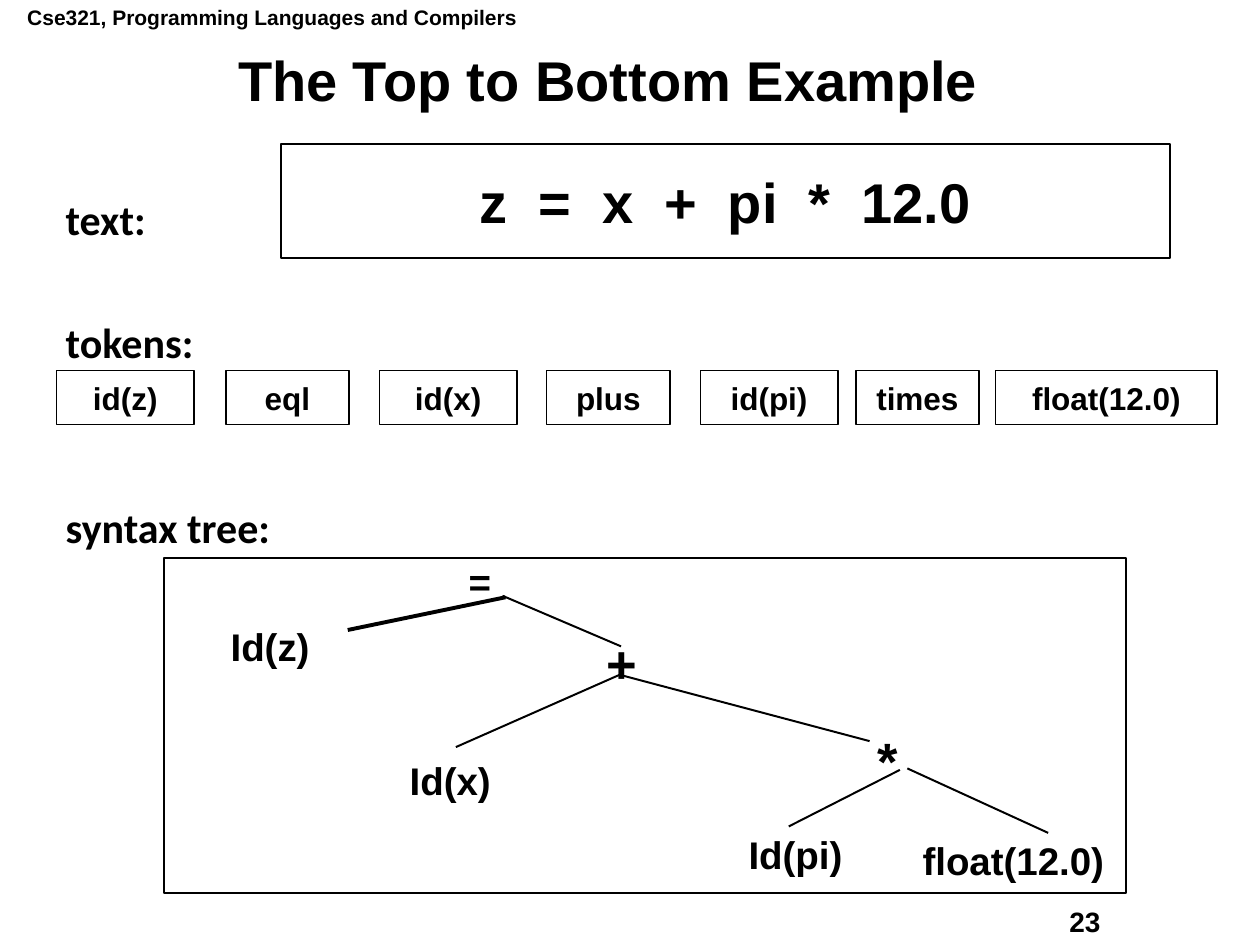
"""Build the slide that follows an assignment from text to tokens to syntax tree."""
from lxml.etree import SubElement
from pptx import Presentation
from pptx.dml.color import RGBColor
from pptx.enum.shapes import MSO_CONNECTOR, MSO_SHAPE
from pptx.enum.text import MSO_ANCHOR, MSO_AUTO_SIZE, PP_ALIGN
from pptx.oxml.ns import qn
from pptx.util import Cm, Pt


def color(hex_string):
    return RGBColor.from_string(hex_string)


def write(shape, text, size, align=PP_ALIGN.LEFT, anchor=MSO_ANCHOR.TOP, margin=None):
    frame = shape.text_frame
    frame.auto_size = MSO_AUTO_SIZE.NONE
    frame.word_wrap = False
    frame.vertical_anchor = anchor
    if margin is not None:
        frame.margin_left = frame.margin_right = Cm(margin)
        frame.margin_top = frame.margin_bottom = Cm(margin)
    paragraph = frame.paragraphs[0]
    paragraph.text = text
    paragraph.alignment = align
    paragraph.font.name = "Arial"
    paragraph.font.size = Pt(size)
    paragraph.font.bold = True
    paragraph.font.color.rgb = color("000000")


deck = Presentation()
deck.slide_width, deck.slide_height = Cm(25.4), Cm(19.05)
page = deck.slides.add_slide(deck.slide_layouts[1])
shapes = page.shapes

header = shapes.add_textbox(Cm(0.3), Cm(-0.03), Cm(10.4), Cm(0.76))
write(header, "Cse321, Programming Languages and Compilers", 12)
page_number = shapes.add_textbox(Cm(21.31), Cm(18.11), Cm(3.23), Cm(0.91))
write(page_number, "23", 16)

title = shapes.title
title.left, title.top, title.width, title.height = Cm(0.79), Cm(0.97), Cm(22.94), Cm(1.42)
write(title, "The Top to Bottom Example", 32, PP_ALIGN.CENTER, MSO_ANCHOR.MIDDLE)
title.text_frame.paragraphs[0].line_spacing = 0.9

stages = page.placeholders[1]
stages.left, stages.top, stages.width, stages.height = Cm(1.07), Cm(3.89), Cm(22.66), Cm(13.89)
stages.text_frame.auto_size = MSO_AUTO_SIZE.NONE
stages.text_frame.text = "text:\ntokens:\nsyntax tree:"
for paragraph, space in zip(stages.text_frame.paragraphs, (0, 44.4, 79.8)):
    paragraph.line_spacing = 0.9
    paragraph.space_before = Pt(space)
    properties = paragraph._p.get_or_add_pPr()
    properties.set("marL", "0")
    properties.set("indent", "0")
    SubElement(properties, qn("a:buNone"))
    paragraph.font.name = "Calibri"
    paragraph.font.size = Pt(24)
    paragraph.font.bold = True
    paragraph.font.color.rgb = color("000000")

token_top, token_height = 7.47, 1.09
frames = [
    ("id(z)", 18, 1.14, token_top, 2.77, token_height, 1),
    ("eql", 18, 4.55, token_top, 2.49, token_height, 1),
    ("id(x)", 18, 7.65, token_top, 2.77, token_height, 1),
    ("plus", 18, 11.02, token_top, 2.49, token_height, 1),
    ("id(pi)", 18, 14.12, token_top, 2.77, token_height, 1),
    ("times", 18, 17.25, token_top, 2.49, token_height, 1),
    ("float(12.0)", 18, 20.07, token_top, 4.47, token_height, 1),
    ("z  =  x  +  pi  *  12.0", 32, 5.66, 2.9, 17.93, 2.31, 1),
    ("", 18, 3.3, 11.25, 19.4, 6.76, 1.13),
]
for text, size, left, top, width, height, line_width in frames:
    box = shapes.add_shape(MSO_SHAPE.RECTANGLE, Cm(left), Cm(top), Cm(width), Cm(height))
    box.shadow.inherit = False
    box.fill.solid()
    box.fill.fore_color.rgb = color("FFFFFF")
    box.line.color.rgb = color("000000")
    box.line.width = Pt(line_width)
    if text:
        write(box, text, size, PP_ALIGN.CENTER, MSO_ANCHOR.MIDDLE)

nodes = [
    ("=", 22, 9.45, 11.25, 0.5),
    ("Id(z)", 22, 4.65, 12.57, 1.65),
    ("+", 30, 12.22, 12.73, 0.61),
    ("Id(x)", 22, 8.26, 15.27, 1.65),
    ("*", 30, 17.69, 14.68, 0.6),
    ("Id(pi)", 22, 15.09, 16.76, 1.95),
    ("float(12.0)", 22, 18.6, 16.87, 3.8),
]
for text, size, left, top, width in nodes:
    height = 1.27 if size == 30 else 0.94
    node = shapes.add_textbox(Cm(left), Cm(top), Cm(width), Cm(height))
    write(node, text, size, margin=0)

branches = [
    (10.19, 12.04, 7.01, 12.7, 2.25),
    (10.13, 12.01, 12.52, 13.03, 1.13),
    (12.52, 13.59, 9.19, 15.06, 1.13),
    (12.52, 13.61, 17.53, 14.94, 1.13),
    (18.14, 15.52, 15.9, 16.66, 1.13),
    (18.29, 15.49, 21.13, 16.79, 1.13),
]
for *ends, line_width in branches:
    branch = shapes.add_connector(MSO_CONNECTOR.STRAIGHT, *map(Cm, ends))
    branch.line.color.rgb = color("000000")
    branch.line.width = Pt(line_width)
    SubElement(branch._element.spPr, qn("a:effectLst"))

deck.save("out.pptx")
